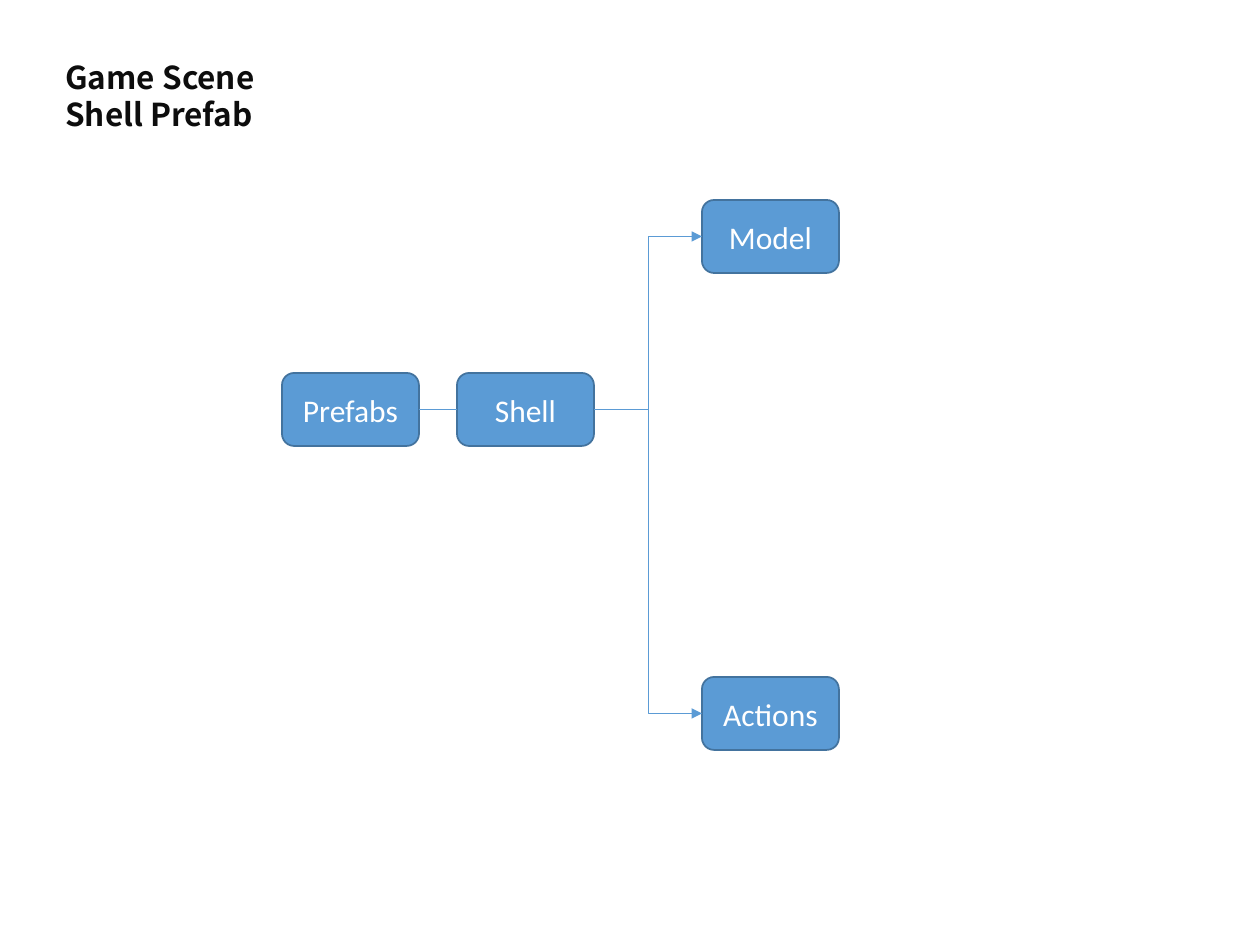
from lxml.etree import SubElement
from pptx import Presentation
from pptx.dml.color import RGBColor
from pptx.enum.shapes import MSO_CONNECTOR as Connector, MSO_SHAPE as Shape
from pptx.enum.text import MSO_ANCHOR as Anchor, PP_ALIGN as Align
from pptx.oxml.ns import qn
from pptx.util import Emu, Pt

COLORS = {"node": "5B9BD5", "border": "43739E", "label": "FFFFFF", "title": "0D0D0D"}
TITLE = ["Game Scene", "Shell Prefab"]
NODES = {
    "Shell": (457, 373),
    "Prefabs": (282, 373),
    "Actions": (702, 677),
    "Model": (702, 200),
}
LINKS = [
    ("Shell", "Model", Connector.ELBOW, True),
    ("Shell", "Actions", Connector.ELBOW, True),
    ("Prefabs", "Shell", Connector.STRAIGHT, False),
]
NODE_W, NODE_H = 137, 73
RIGHT, LEFT = 3, 1


def px(n):
    return Emu(n * 914400 // 126)


def color(key):
    return RGBColor.from_string(COLORS[key])


def set_font(paragraph, name, key, bold=False):
    font = paragraph.font
    font.name, font.size, font.bold = name, Pt(18), bold
    font.color.rgb = color(key)


def add_node(slide, label, left, top):
    node = slide.shapes.add_shape(
        Shape.ROUNDED_RECTANGLE, px(left), px(top), px(NODE_W), px(NODE_H))
    node.shadow.inherit = False
    node.fill.solid()
    node.fill.fore_color.rgb = color("node")
    node.line.color.rgb = color("border")
    node.line.width = Pt(1)
    frame = node.text_frame
    frame.vertical_anchor = Anchor.MIDDLE
    paragraph = frame.paragraphs[0]
    paragraph.text = label
    paragraph.alignment = Align.CENTER
    set_font(paragraph, "Calibri", "label")
    return node


def add_title(slide):
    title = slide.shapes.add_textbox(px(53), px(48), px(630), px(89))
    frame = title.text_frame
    frame.word_wrap = True
    frame.margin_top = px(11)
    frame.text = "\n".join(TITLE)
    for paragraph in frame.paragraphs:
        paragraph.line_spacing = Pt(21)
        set_font(paragraph, "Noto Sans CJK SC", "title", bold=True)


def add_link(slide, source, target, kind, arrow):
    link = slide.shapes.add_connector(kind, 0, 0, 0, 0)
    link.begin_connect(source, RIGHT)
    link.end_connect(target, LEFT)
    link.line.color.rgb = color("node")
    link.line.width = Pt(0.5)
    properties = link._element.spPr
    if arrow:
        SubElement(properties.find(qn("a:ln")), qn("a:tailEnd"), type="triangle")
    SubElement(properties, qn("a:effectLst"))


def main():
    deck = Presentation()
    deck.slide_width, deck.slide_height = px(1260), px(945)
    slide = deck.slides.add_slide(deck.slide_layouts[6])
    nodes = {label: add_node(slide, label, *corner) for label, corner in NODES.items()}
    add_title(slide)
    for source, target, kind, arrow in LINKS:
        add_link(slide, nodes[source], nodes[target], kind, arrow)
    deck.save("out.pptx")


if __name__ == "__main__":
    main()
